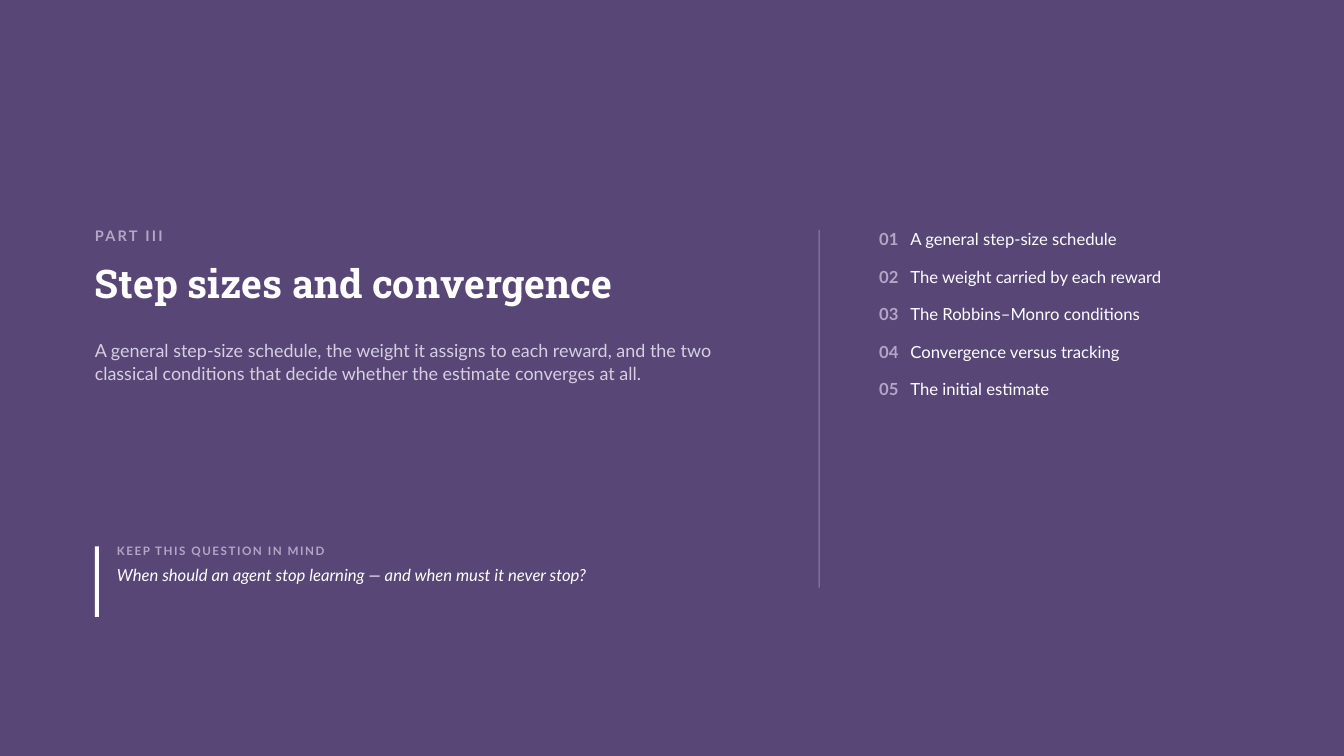
from lxml.etree import SubElement
from pptx import Presentation
from pptx.dml.color import RGBColor
from pptx.enum.shapes import MSO_SHAPE
from pptx.enum.text import MSO_ANCHOR, MSO_AUTO_SIZE, PP_ALIGN
from pptx.oxml.ns import qn
from pptx.util import Inches, Pt

PART = "PART III"
TITLE = "Step sizes and convergence"
SUMMARY = ("A general step-size schedule, the weight it assigns to each reward, "
           "and the two classical conditions that decide whether the estimate "
           "converges at all.")
PROMPT = "KEEP THIS QUESTION IN MIND"
QUESTION = "When should an agent stop learning — and when must it never stop?"
TOPICS = [
    "A general step-size schedule",
    "The weight carried by each reward",
    "The Robbins–Monro conditions",
    "Convergence versus tracking",
    "The initial estimate",
]

PURPLE = RGBColor(0x57, 0x46, 0x76)
WHITE = RGBColor(0xFF, 0xFF, 0xFF)
MUTED = RGBColor(0xB2, 0xA7, 0xC4)
PALE = RGBColor(0xD6, 0xD0, 0xE0)
RULE = RGBColor(0x94, 0x86, 0xAC)
BODY_FONT, TITLE_FONT = "Lato", "Roboto Slab"

# Inches
LEFT, TOP = 0.94, 2.28
QUESTION_TOP, QUESTION_INDENT = 5.42, 0.22
DIVIDER_LEFT, COLUMN_HEIGHT = 8.12, 3.55
TOPICS_LEFT = DIVIDER_LEFT + 0.6
TOPIC_TAB = 0.31


def prepare_frame(shape, left, top, width, height):
    """Place a text shape and give it a wrapping frame without margins."""
    shape.left, shape.top = Inches(left), Inches(top)
    shape.width, shape.height = Inches(width), Inches(height)
    frame = shape.text_frame
    frame.word_wrap = True
    frame.auto_size = MSO_AUTO_SIZE.NONE
    frame.vertical_anchor = MSO_ANCHOR.TOP
    frame.margin_left = frame.margin_right = 0
    frame.margin_top = frame.margin_bottom = 0
    return frame


def add_frame(slide, *box):
    return prepare_frame(slide.shapes.add_textbox(0, 0, 0, 0), *box)


def set_spacing(paragraph, line, before=0):
    paragraph.alignment = PP_ALIGN.LEFT
    paragraph.line_spacing = Pt(line)
    paragraph.space_before = Pt(before)


def format_run(run, size, color, bold=False, italic=False, name=BODY_FONT, tracking=0):
    font = run.font
    font.size, font.name = Pt(size), name
    font.bold, font.italic = bold, italic
    font.color.rgb = color
    if tracking:
        run._r.get_or_add_rPr().set("spc", str(round(tracking * 100)))


def write(paragraph, text, size, color, line, before=0, **style):
    paragraph.text = text
    set_spacing(paragraph, line, before)
    format_run(paragraph.runs[0], size, color, **style)


def add_bar(slide, left, top, width, height, color):
    bar = slide.shapes.add_shape(MSO_SHAPE.RECTANGLE, Inches(left), Inches(top),
                                 Inches(width), Inches(height))
    bar.shadow.inherit = False
    bar.fill.solid()
    bar.fill.fore_color.rgb = color
    bar.line.fill.background()


def add_heading(slide):
    part = add_frame(slide, LEFT, TOP, 3, 0.26)
    write(part.paragraphs[0], PART, 10.4, MUTED, 10.4, bold=True, tracking=1.6)
    title = prepare_frame(slide.shapes.title, LEFT, 2.62, 6.9, 0.5)
    write(title.paragraphs[0], TITLE, 28.2, WHITE, 29.9, bold=True, name=TITLE_FONT)
    summary = add_frame(slide, LEFT, 3.36, 6.5, 0.5)
    write(summary.paragraphs[0], SUMMARY, 12.8, PALE, 16.4)


def add_question(slide):
    add_bar(slide, LEFT, QUESTION_TOP, 0.04, 0.7, WHITE)
    frame = add_frame(slide, LEFT + QUESTION_INDENT, QUESTION_TOP, 6.3, 0.74)
    write(frame.paragraphs[0], PROMPT, 8.3, MUTED, 8.3, bold=True, tracking=1.1)
    write(frame.add_paragraph(), QUESTION, 11.9, WHITE, 14, before=5, italic=True)


def add_topics(slide):
    add_bar(slide, DIVIDER_LEFT, TOP, 0.01, COLUMN_HEIGHT, RULE)
    frame = add_frame(slide, TOPICS_LEFT, TOP, 3.7, COLUMN_HEIGHT)
    for number, topic in enumerate(TOPICS, 1):
        first = number == 1
        paragraph = frame.paragraphs[0] if first else frame.add_paragraph()
        set_spacing(paragraph, 13.8, 0 if first else 13)
        tabs = SubElement(paragraph._p.get_or_add_pPr(), qn("a:tabLst"))
        SubElement(tabs, qn("a:tab"), pos=str(Inches(TOPIC_TAB)), algn="l")
        for text, color, bold in ((f"{number:02}\t", MUTED, True), (topic, WHITE, False)):
            run = paragraph.add_run()
            run.text = text
            format_run(run, 11.9, color, bold=bold)


def main():
    deck = Presentation()
    deck.slide_width, deck.slide_height = Inches(13.33), Inches(7.5)
    slide = deck.slides.add_slide(deck.slide_layouts[5])
    slide.background.fill.solid()
    slide.background.fill.fore_color.rgb = PURPLE
    add_heading(slide)
    add_question(slide)
    add_topics(slide)
    deck.save("out.pptx")


if __name__ == "__main__":
    main()
